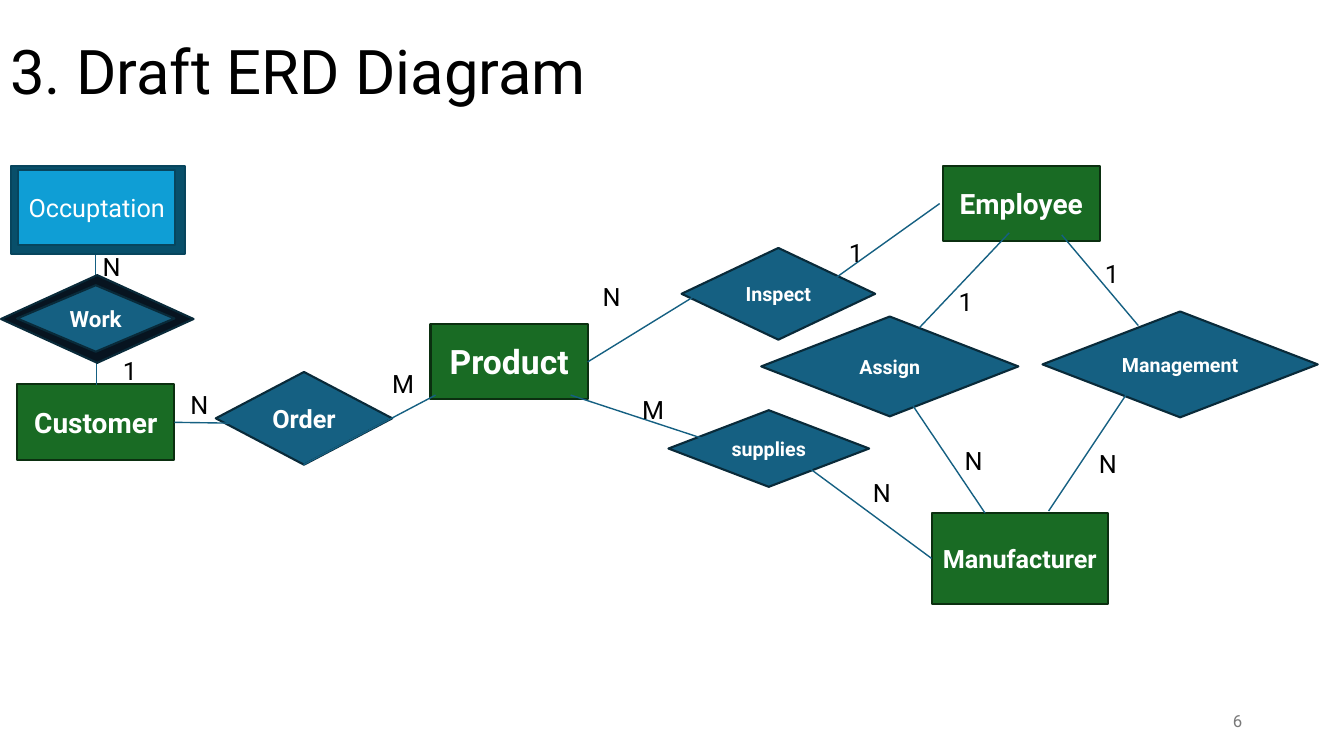
from pptx import Presentation
from pptx.dml.color import RGBColor
from pptx.enum.shapes import MSO_CONNECTOR, MSO_SHAPE
from pptx.enum.text import MSO_ANCHOR, PP_ALIGN
from pptx.oxml.ns import qn
from pptx.util import Inches, Pt
from lxml.etree import SubElement

FONT = "Roboto"
BLACK = RGBColor(0x00, 0x00, 0x00)
WHITE = RGBColor(0xFF, 0xFF, 0xFF)
GRAY = RGBColor(0x79, 0x79, 0x79)
GREEN = RGBColor(0x19, 0x6B, 0x24)
GREEN_EDGE = RGBColor(0x0B, 0x2F, 0x10)
BLUE = RGBColor(0x15, 0x60, 0x82)
BLUE_EDGE = RGBColor(0x09, 0x2A, 0x39)
WEAK_FRAME = RGBColor(0x08, 0x4F, 0x6A)
WEAK_EDGE = RGBColor(0x07, 0x45, 0x5D)
WEAK_FILL = RGBColor(0x0F, 0x9E, 0xD5)
NAVY = RGBColor(0x07, 0x14, 0x20)

ENTITIES = [
    ("Product", 4.27, 1.71, 1.56, 0.75, 24),
    ("Customer", 0.17, 2.31, 1.56, 0.75, 20),
    ("Employee", 9.35, 0.15, 1.56, 0.74, 20),
    ("Manufacturer", 9.24, 3.59, 1.75, 0.9, 18),
]
RELATIONSHIPS = [
    ("Order", 2.14, 2.19, 1.75, 0.92, 18),
    ("Inspect", 6.76, 0.96, 1.92, 0.91, 14),
    ("Management", 10.34, 1.59, 2.73, 1.05, 14),
    ("Assign", 7.55, 1.64, 2.55, 0.99, 14),
    ("supplies", 6.63, 2.57, 1.99, 0.76, 14),
]
LINKS = [
    (5.83, 2.09, 6.95, 1.4),
    (0.96, 2.32, 0.96, 1.92),
    (10.53, 0.83, 11.29, 1.73),
    (9.12, 1.75, 10.01, 0.81),
    (8.27, 1.27, 9.32, 0.52),
    (3.01, 3.11, 4.32, 2.42),
    (9.77, 3.59, 8.93, 2.34),
    (5.66, 2.42, 7, 2.86),
    (7.98, 3.11, 9.24, 4.04),
    (10.4, 3.57, 11.24, 2.31),
    (1.73, 2.69, 2.44, 2.7),
    (0.95, 1.31, 0.95, 0.91),
]
CARDINALITIES = [
    ("N", 1.79, 2.31, 0.5),
    ("M", 3.79, 2.11, 0.48),
    ("1", 10.86, 1.01, 0.31),
    ("1", 8.32, 0.81, 0.3),
    ("N", 10.8, 2.9, 0.3),
    ("1", 9.41, 1.29, 0.31),
    ("N", 9.47, 2.87, 0.3),
    ("N", 5.88, 1.24, 0.5),
    ("N", 8.56, 3.19, 0.5),
    ("M", 6.27, 2.36, 0.48),
    ("1", 1.12, 1.98, 0.3),
    ("N", 0.92, 0.94, 0.5),
]


def write(frame, words, size, color, bold=False, align=PP_ALIGN.LEFT):
    frame.text = words
    paragraph = frame.paragraphs[0]
    paragraph.alignment = align
    font = paragraph.runs[0].font
    font.name, font.size, font.bold = FONT, Pt(size), bold
    font.color.rgb = color


def add_node(slide, kind, box, fill, edge, name="", size=18, bold=True):
    node = slide.shapes.add_shape(kind, *map(Inches, box))
    node.shadow.inherit = False
    node.fill.solid()
    node.fill.fore_color.rgb = fill
    node.line.color.rgb = edge
    node.line.width = Pt(1.5)
    if name:
        write(node.text_frame, name, size, WHITE, bold, PP_ALIGN.CENTER)
        node.text_frame.vertical_anchor = MSO_ANCHOR.MIDDLE
        node.text_frame.word_wrap = False


def add_link(slide, x1, y1, x2, y2):
    link = slide.shapes.add_connector(
        MSO_CONNECTOR.STRAIGHT, *map(Inches, (x1, y1, x2, y2)))
    link.line.color.rgb = BLUE
    link.line.width = Pt(1)
    SubElement(link._element.spPr, qn("a:effectLst"))


def add_label(slide, box, words, size, color, align=PP_ALIGN.LEFT):
    label = slide.shapes.add_textbox(*map(Inches, box))
    label.text_frame.word_wrap = True
    write(label.text_frame, words, size, color, align=align)
    return label


def draw_title(slide, left, top, width, height):
    title = slide.shapes.title
    title.left, title.top = Inches(left), Inches(top)
    title.width, title.height = Inches(width), Inches(height)
    write(title.text_frame, "3. Draft ERD Diagram", 44, BLACK)
    title.text_frame.vertical_anchor = MSO_ANCHOR.MIDDLE
    title.text_frame.paragraphs[0].line_spacing = 0.9


def draw_diagram(slide, left, top):
    for name, x, y, width, height, size in ENTITIES:
        add_node(slide, MSO_SHAPE.RECTANGLE, (left + x, top + y, width, height),
                 GREEN, GREEN_EDGE, name, size)
    for name, x, y, width, height, size in RELATIONSHIPS:
        add_node(slide, MSO_SHAPE.FLOWCHART_DECISION,
                 (left + x, top + y, width, height), BLUE, BLUE_EDGE, name, size)
    for x1, y1, x2, y2 in LINKS:
        add_link(slide, left + x1, top + y1, left + x2, top + y2)
    draw_weak_entity(slide, left, top + 0.15)
    for cardinality, x, y, width in CARDINALITIES:
        add_label(slide, (left + x, top + y, width, 0.4), cardinality, 18, BLACK)


def draw_weak_entity(slide, left, top):
    add_node(slide, MSO_SHAPE.RECTANGLE, (left + 0.11, top, 1.73, 0.87),
             WEAK_FRAME, WEAK_EDGE)
    add_node(slide, MSO_SHAPE.RECTANGLE, (left + 0.18, top + 0.04, 1.56, 0.74),
             WEAK_FILL, WEAK_EDGE, "Occuptation", bold=False)
    add_node(slide, MSO_SHAPE.FLOWCHART_DECISION,
             (left + 0.01, top + 1.08, 1.91, 0.87), NAVY, BLUE_EDGE)
    add_node(slide, MSO_SHAPE.FLOWCHART_DECISION,
             (left + 0.17, top + 1.18, 1.56, 0.66), BLUE, BLUE_EDGE, "Work", 16)


def draw_page_number(slide, left, top, width, height):
    number = add_label(slide, (left, top, width, height), "6", 12, GRAY,
                       PP_ALIGN.RIGHT)
    number.text_frame.vertical_anchor = MSO_ANCHOR.MIDDLE


def main():
    deck = Presentation()
    deck.slide_width, deck.slide_height = Inches(13.33), Inches(7.5)
    slide = deck.slides.add_slide(deck.slide_layouts[5])
    draw_title(slide, 0, 0.01, 11.5, 1.45)
    draw_diagram(slide, 0, 1.5)
    draw_page_number(slide, 9.42, 6.95, 3, 0.4)
    deck.save("out.pptx")


if __name__ == "__main__":
    main()
